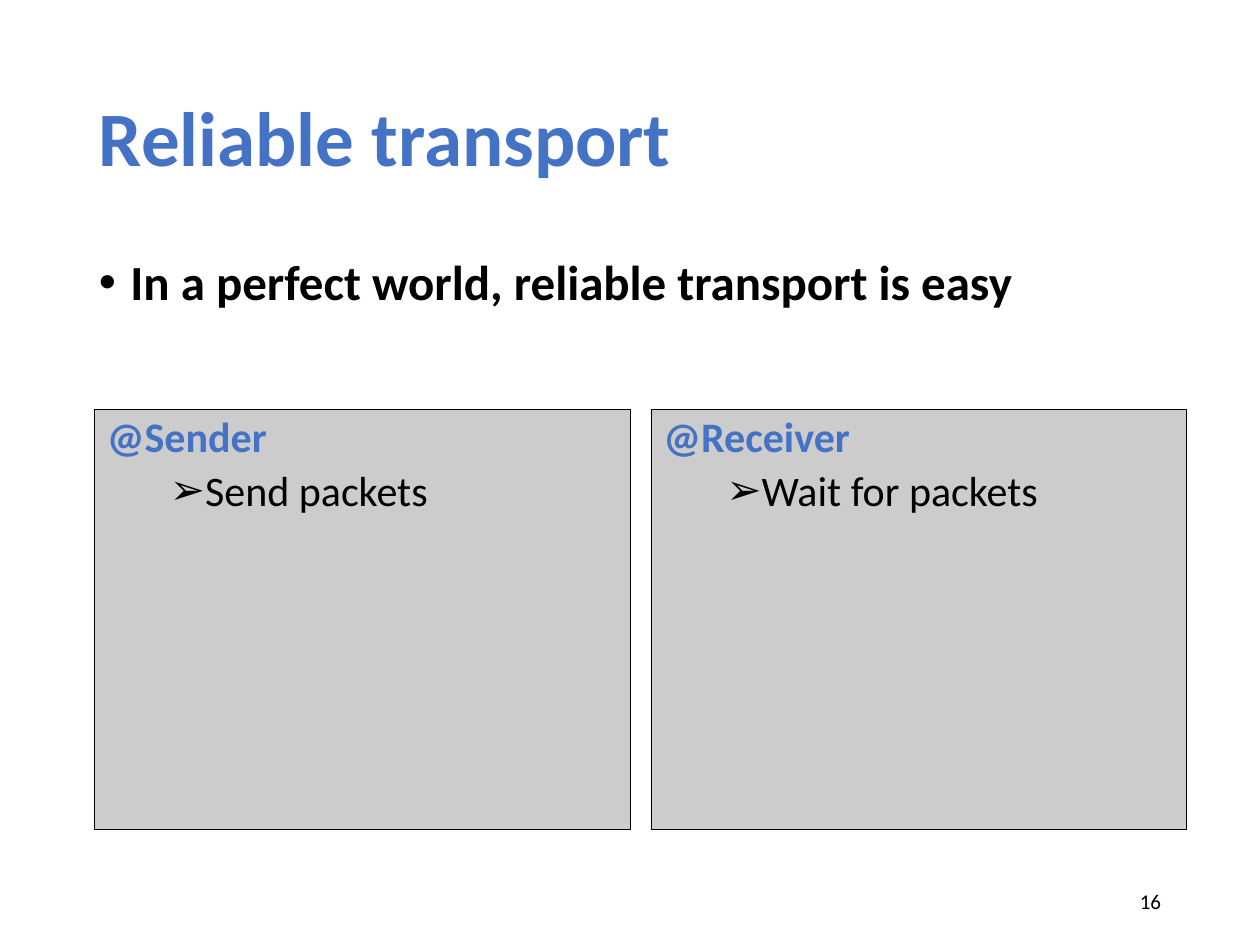
"""Build the slide on reliable transport in a perfect world."""
from lxml import etree
from pptx import Presentation
from pptx.dml.color import RGBColor
from pptx.enum import shapes, text
from pptx.oxml import ns
from pptx.util import Pt

COLORS = {"accent": "4472C4", "ink": "000000", "panel": "CCCCCC"}


def style(para, size, color, bold=False, spacing=0.9):
    para.line_spacing = spacing
    para.font.name = "Calibri"
    para.font.size = Pt(size)
    para.font.bold = bold
    para.font.color.rgb = RGBColor.from_string(COLORS[color])


def add_bullet(para, symbol, margin):
    props = para._p.get_or_add_pPr()
    props.set("marL", str(Pt(margin)))
    props.set("indent", str(Pt(-18)))
    etree.SubElement(props, ns.qn("a:buFont"), typeface="Arial")
    etree.SubElement(props, ns.qn("a:buChar"), char=symbol)


deck = Presentation()
deck.slide_width, deck.slide_height = Pt(720), Pt(540)
page = deck.slides.add_slide(deck.slide_layouts[6])

title = page.shapes.add_textbox(Pt(49.5), Pt(28.75), Pt(621), Pt(104.4)).text_frame
title.word_wrap = True
title.vertical_anchor = text.MSO_ANCHOR.MIDDLE
title.text = "Reliable transport"
style(title.paragraphs[0], 44, "accent", bold=True)

panel_width, panel_gap = 306, 12
panels = [("@Sender", "Send packets"), ("@Receiver", "Wait for packets")]
for index, (role, task) in enumerate(panels):
    left = 54 + index * (panel_width + panel_gap)
    panel = page.shapes.add_shape(
        shapes.MSO_SHAPE.RECTANGLE, Pt(left), Pt(234), Pt(panel_width), Pt(240))
    panel.shadow.inherit = False
    panel.fill.solid()
    panel.fill.fore_color.rgb = RGBColor.from_string(COLORS["panel"])
    panel.line.color.rgb = RGBColor.from_string(COLORS["ink"])
    panel.line.width = Pt(0.5)
    frame = panel.text_frame
    frame.vertical_anchor = text.MSO_ANCHOR.TOP
    heading = frame.paragraphs[0]
    heading.text = role
    heading.alignment = text.PP_ALIGN.LEFT
    style(heading, 24, "accent", bold=True)
    item = frame.add_paragraph()
    item.text = task
    item.level = 1
    item.alignment = text.PP_ALIGN.LEFT
    item.space_before = Pt(5)
    add_bullet(item, "➢", 54)
    style(item, 24, "ink")

number = page.shapes.add_textbox(Pt(508.5), Pt(500.5), Pt(162), Pt(28.75)).text_frame
number.word_wrap = True
number.vertical_anchor = text.MSO_ANCHOR.MIDDLE
number.text = "16"
number.paragraphs[0].alignment = text.PP_ALIGN.RIGHT
style(number.paragraphs[0], 12, "ink", spacing=1.0)

body = page.shapes.add_textbox(Pt(49.5), Pt(143.75), Pt(621), Pt(342.6)).text_frame
body.word_wrap = True
body.text = "In a perfect world, reliable transport is easy"
add_bullet(body.paragraphs[0], "•", 18)
style(body.paragraphs[0], 28, "ink", bold=True)

deck.save("out.pptx")
